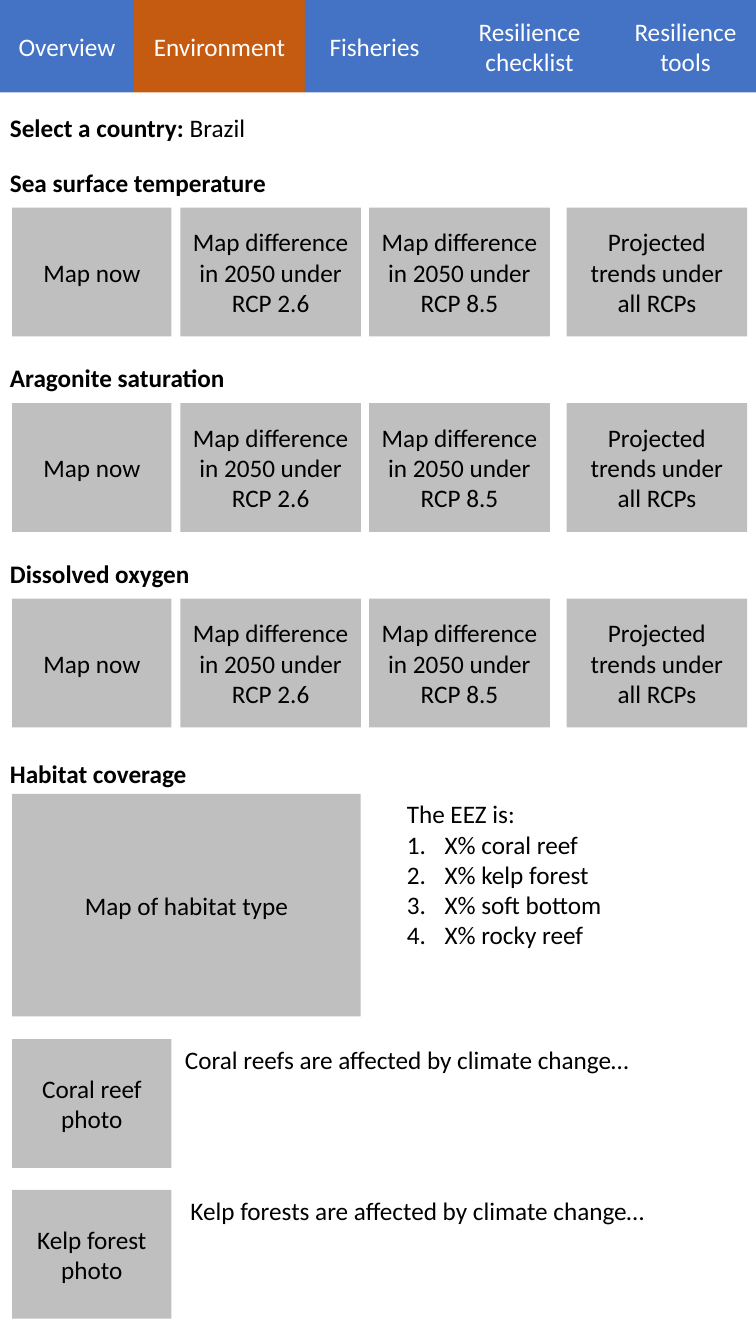
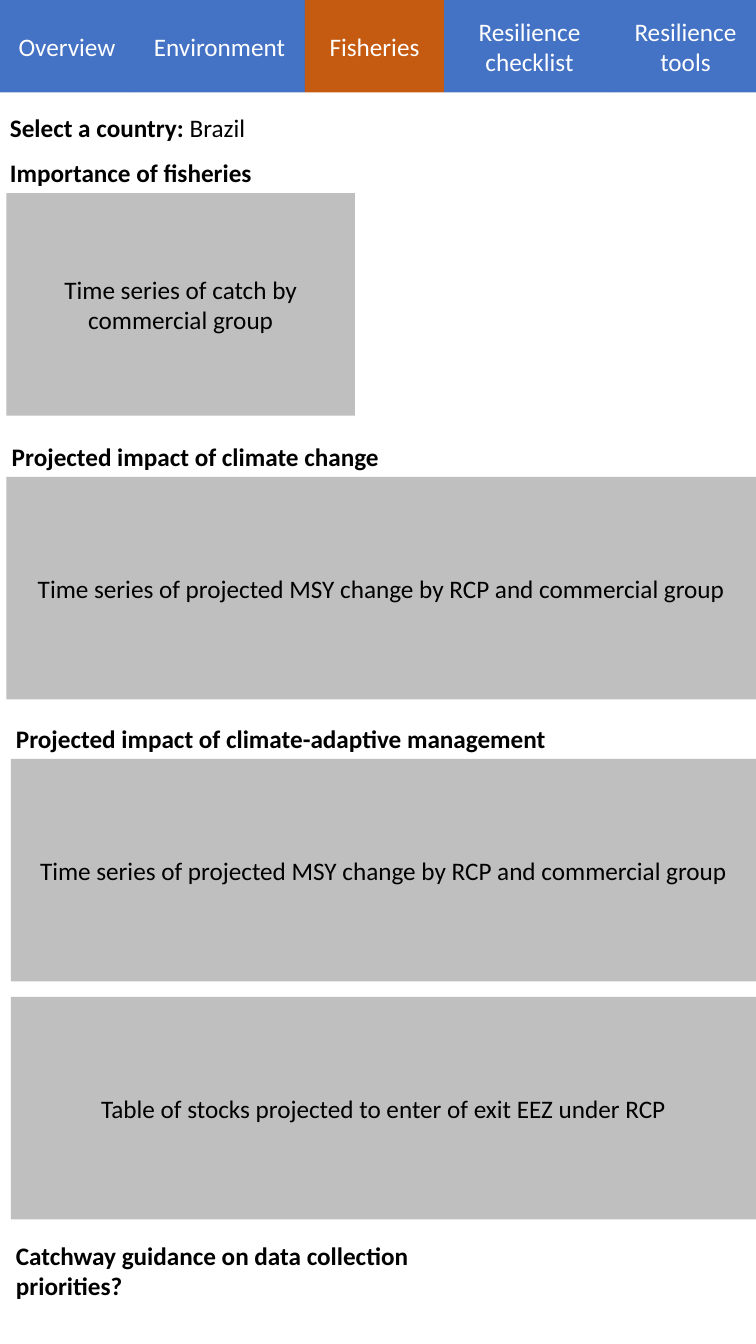
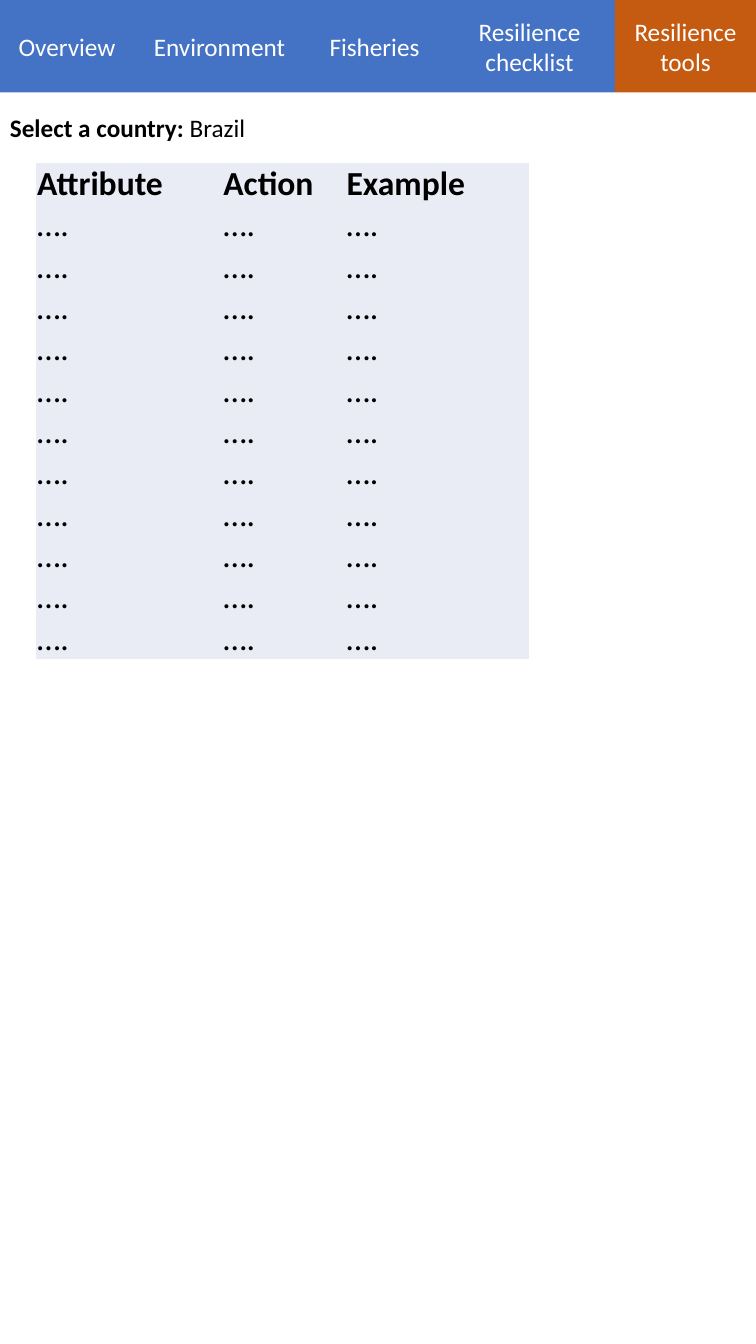
"""Build three wireframe pages of a climate and fisheries dashboard."""
import pptx
import pptx.dml.color
import pptx.enum.shapes
import pptx.enum.text
import pptx.oxml.ns
import pptx.util
from lxml import etree

Pt = pptx.util.Pt
rgb = pptx.dml.color.RGBColor.from_string
BLUE, ORANGE, GREY, PALE = "4472C4", "C55A11", "BFBFBF", "E9EBF5"
BLACK, WHITE = "000000", "FFFFFF"
FONT = "Calibri"
TABS = ["Overview", "Environment", "Fisheries", "Resilience checklist", "Resilience tools"]
TAB_EDGES = [0, 95.8, 217.8, 317.2, 439.3, 540]
TAB_HEIGHT = 66
LABEL_HEIGHT = 29


def write(paragraph, text, bold=False, size=18, colour=BLACK):
    run = paragraph.add_run()
    run.text = text
    run.font.name = FONT
    run.font.size = Pt(size)
    run.font.bold = bold
    run.font.color.rgb = rgb(colour)


def place(slide, left, top, width, height, text, fill=None, colour=BLACK, bold=False):
    area = [Pt(length) for length in (left, top, width, height)]
    if fill:
        panel = slide.shapes.add_shape(pptx.enum.shapes.MSO_SHAPE.RECTANGLE, *area)
        panel.shadow.inherit = False
        panel.fill.solid()
        panel.fill.fore_color.rgb = rgb(fill)
        panel.line.fill.background()
        frame = panel.text_frame
        frame.word_wrap = True
        frame.vertical_anchor = pptx.enum.text.MSO_ANCHOR.MIDDLE
        frame.paragraphs[0].alignment = pptx.enum.text.PP_ALIGN.CENTER
    else:
        frame = slide.shapes.add_textbox(*area).text_frame
        frame.word_wrap = False
        frame.auto_size = pptx.enum.text.MSO_AUTO_SIZE.SHAPE_TO_FIT_TEXT
    write(frame.paragraphs[0], text, bold, colour=colour)
    return frame


deck = pptx.Presentation()
deck.slide_width, deck.slide_height = Pt(540), Pt(960)

pages = []
for active in ("Environment", "Fisheries", "Resilience tools"):
    page = deck.slides.add_slide(deck.slide_layouts[6])
    for tab, start, end in zip(TABS, TAB_EDGES, TAB_EDGES[1:]):
        place(page, start, 0, end - start, TAB_HEIGHT, tab,
              ORANGE if tab == active else BLUE, WHITE)
    country = place(page, 0, 76.5, 184.5, LABEL_HEIGHT, "Select a country: ", bold=True)
    write(country.paragraphs[0], "Brazil")
    pages.append(page)
environment, fisheries, tools = pages

MAPS = [
    (8.7, 113.8, "Map now"),
    (128.8, 129, "Map difference in 2050 under RCP 2.6"),
    (263.7, 129, "Map difference in 2050 under RCP 8.5"),
    (404.7, 129, "Projected trends under all RCPs"),
]
variables = [("Sea surface temperature", 199), ("Aragonite saturation", 169),
             ("Dissolved oxygen", 144)]
for row, (variable, width) in enumerate(variables):
    top = 116 + 139.6 * row
    place(environment, 0, top, width, LABEL_HEIGHT, variable, bold=True)
    for left, map_width, caption in MAPS:
        place(environment, left, top + 32.4, map_width, 92, caption, GREY)

place(environment, 0, 538, 142, LABEL_HEIGHT, "Habitat coverage", bold=True)
place(environment, 8.7, 567, 249, 159, "Map of habitat type", GREY)
coverage = place(environment, 283.5, 567, 155.5, 117, "The EEZ is:")
for habitat in ("coral reef", "kelp forest", "soft bottom", "rocky reef"):
    entry = coverage.add_paragraph()
    write(entry, f"X% {habitat}")
    numbering = entry._p.get_or_add_pPr()
    numbering.set("marL", str(Pt(27)))
    numbering.set("indent", str(-Pt(27)))
    etree.SubElement(numbering, pptx.oxml.ns.qn("a:buAutoNum"), type="arabicPeriod")

for habitat, top, left, width in [("Coral reef", 742.2, 125, 337),
                                  ("Kelp forest", 850, 129, 344)]:
    place(environment, 8.7, top, 113.8, 92, f"{habitat} photo", GREY)
    place(environment, left, top, width, LABEL_HEIGHT,
          f"{habitat}s are affected by climate change…")

for left, top, width, heading in [
    (0, 109, 189, "Importance of fisheries"),
    (1.3, 311.8, 279, "Projected impact of climate change"),
    (4.3, 513, 396, "Projected impact of climate-adaptive management"),
    (4.3, 882.5, 369, "Catchway guidance on data collection priorities?"),
]:
    place(fisheries, left, top, width, LABEL_HEIGHT, heading, bold=True)

PROJECTION = "Time series of projected MSY change by RCP and commercial group"
for left, top, width, content in [
    (4.6, 138, 249, "Time series of catch by commercial group"),
    (4.6, 340.6, 535.4, PROJECTION),
    (7.8, 542, 532.2, PROJECTION),
    (7.8, 712, 532.2, "Table of stocks projected to enter of exit EEZ under RCP"),
]:
    place(fisheries, left, top, width, 159, content, GREY)

rows = [["Attribute", "Action", "Example"]] + [["…."] * 3] * 11
actions = tools.shapes.add_table(len(rows), 3, Pt(25.9), Pt(116.3), Pt(352), Pt(354)).table
actions.first_row = actions.horz_banding = False
NO_GRID = "{2D5ABB26-0587-4C30-8999-92F81FD0307C}"
actions._tbl.tblPr.find(pptx.oxml.ns.qn("a:tableStyleId")).text = NO_GRID
for column, width in zip(actions.columns, (133, 88, 131)):
    column.width = Pt(width)
for r, texts in enumerate(rows):
    actions.rows[r].height = Pt(29.5)
    for c, text in enumerate(texts):
        cell = actions.cell(r, c)
        cell.fill.solid()
        cell.fill.fore_color.rgb = rgb(PALE)
        cell.vertical_anchor = pptx.enum.text.MSO_ANCHOR.BOTTOM
        cell.margin_left = cell.margin_right = cell.margin_top = Pt(0.7)
        cell.margin_bottom = Pt(0)
        write(cell.text_frame.paragraphs[0], text, bold=r == 0, size=24)

deck.save("out.pptx")
